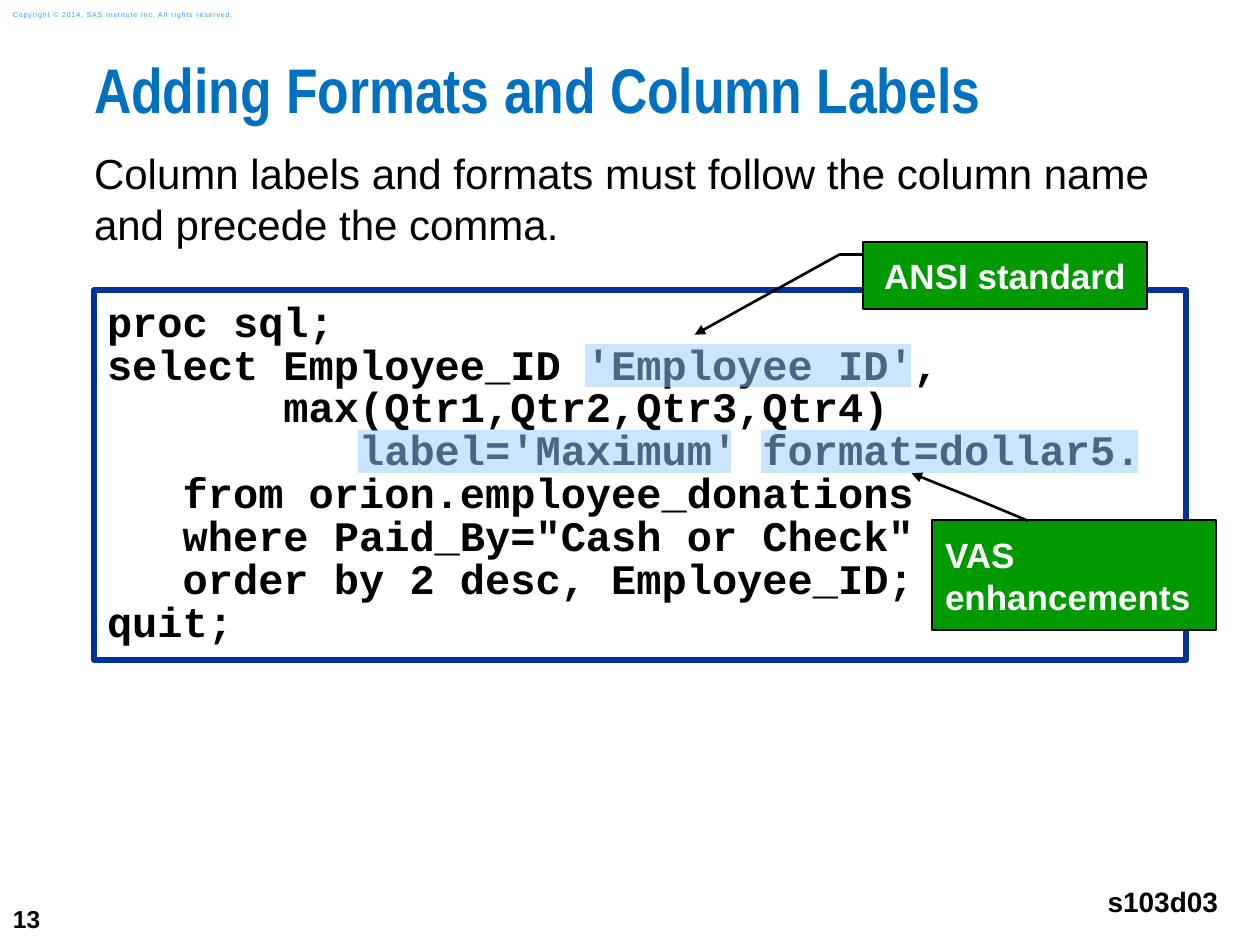
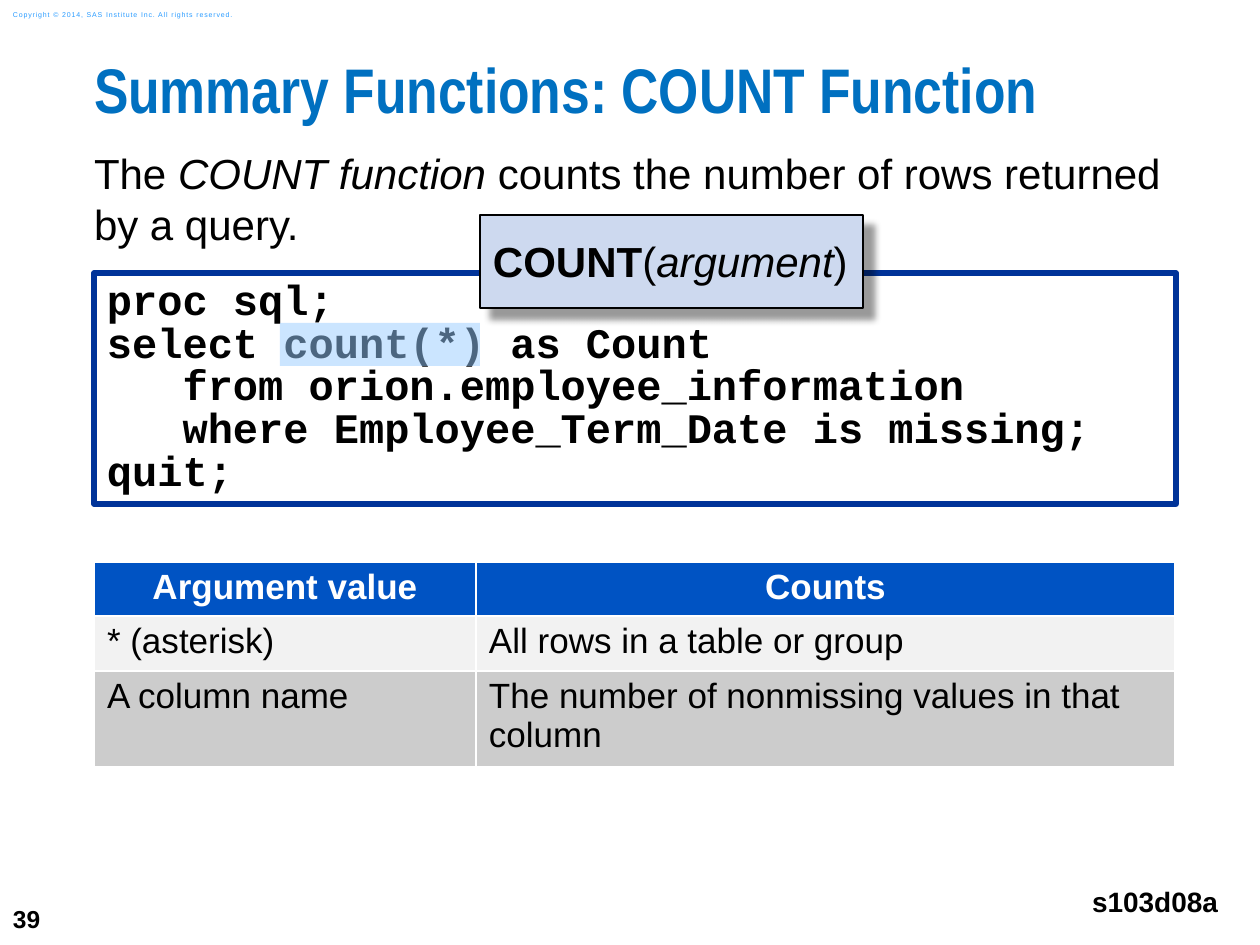
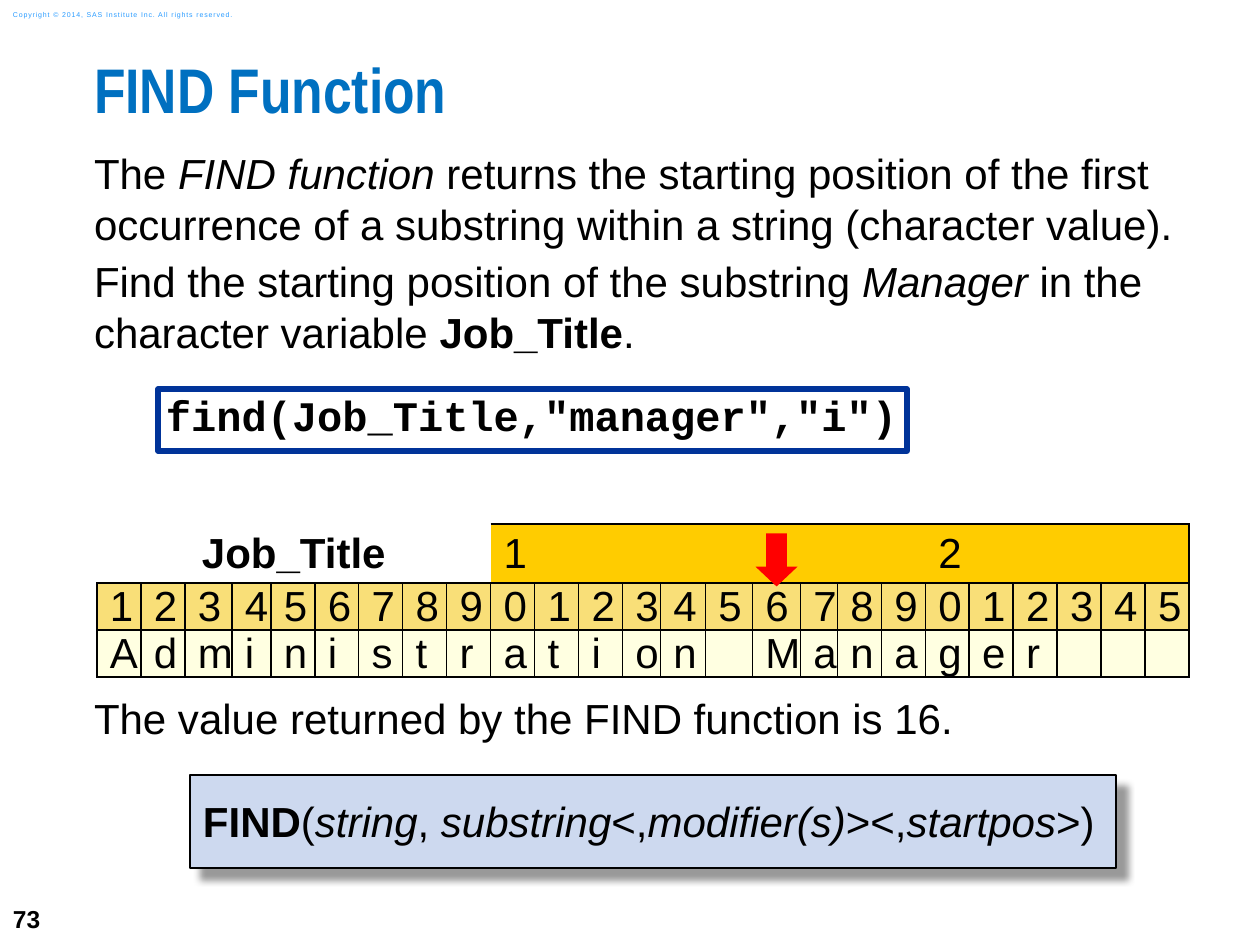
from lxml import etree
from pptx import Presentation
from pptx.dml.color import RGBColor
from pptx.enum.shapes import MSO_SHAPE as Shape
from pptx.enum.text import MSO_ANCHOR as Anchor, MSO_AUTO_SIZE as AutoSize, PP_ALIGN as Align
from pptx.oxml import parse_xml
from pptx.oxml.ns import nsdecls, qn
from pptx.util import Pt

PX = 914400 / 126
COLORS = {
    "title": "0070C0", "copyright": "2A9CFF", "black": "000000", "white": "FFFFFF",
    "frame": "003399", "callout": "009900", "highlight": "99CCFF", "syntax": "CDD9EF",
    "header": "0053C3", "light": "F2F2F2", "gray": "CCCCCC",
    "amber": "FFCC00", "sand": "F9DF78", "cream": "FFFFE1", "arrow": "FF0000",
}
CODE = dict(font="Courier New", bold=True, line=0.85, wrap=False)


def rgb(name):
    return RGBColor.from_string(COLORS[name])


def px(*lengths):
    return [round(length * PX) for length in lengths]


def write(holder, paragraphs, font="Arial", size=24, color="black", bold=False,
          align=Align.LEFT, anchor=Anchor.TOP, insets=(0, 0, 0, 0), wrap=True,
          line=None, before=(), after=0, spacing=None):
    """Fill a shape or table cell; a paragraph is a string or a list of (text, "b" or "i" or "")."""
    frame = holder.text_frame
    owner = holder if hasattr(holder, "margin_left") else frame
    owner.margin_left, owner.margin_top, owner.margin_right, owner.margin_bottom = px(*insets)
    owner.vertical_anchor = anchor
    if owner is frame:
        frame.auto_size = AutoSize.NONE
        frame.word_wrap = wrap
    for index, content in enumerate(paragraphs):
        paragraph = frame.add_paragraph() if index else frame.paragraphs[0]
        paragraph.alignment = align
        paragraph.line_spacing = line
        paragraph.space_before = Pt(before[index] if before else 0)
        paragraph.space_after = Pt(after)
        for text, style in [(content, "")] if isinstance(content, str) else content:
            run = paragraph.add_run()
            run.text = text
            run.font.name, run.font.size = font, Pt(size)
            run.font.bold, run.font.italic = bold or style == "b", style == "i"
            run.font.color.rgb = rgb(color)
            if spacing:
                run.font._element.set("spc", str(spacing))


def box(slide, place, fill, edge=None, width=1.5, kind=Shape.RECTANGLE):
    shape = slide.shapes.add_shape(kind, *px(*place))
    shape.shadow.inherit = False
    shape.fill.solid()
    shape.fill.fore_color.rgb = rgb(fill)
    if edge:
        shape.line.color.rgb = rgb(edge)
        shape.line.width = Pt(width)
    else:
        shape.line.fill.background()
    return shape


prs = Presentation()
prs.slide_width, prs.slide_height = px(1260, 945)

# Title, lead text, page number, copyright and program name
pages = [
    dict(number="13", title="Adding Formats and Column Labels", program="s103d03", before=[0],
         lead=["Column labels and formats must follow the column name and precede the comma."]),
    dict(number="39", title="Summary Functions: COUNT Function", program="s103d08a", before=[0],
         lead=[[("The ", ""), ("COUNT function", "i"),
                (" counts the number of rows returned by a query.", "")]]),
    dict(number="73", title="FIND Function", program=None, before=[0, 0, 188],
         lead=[[("The ", ""), ("FIND function", "i"),
                (" returns the starting position of the first occurrence of a substring "
                 "within a string (character value).", "")],
               [("Find the starting position of the substring ", ""), ("Manager", "i"),
                (" in the character variable ", ""), ("Job_Title", "b"), (".", "")],
               "The value returned by the FIND function is 16."]),
]
slides = []
for page in pages:
    slide = prs.slides.add_slide(prs.slide_layouts[1])
    slides.append(slide)
    title, lead = slide.placeholders
    title.left, title.top, title.width, title.height = px(94, 63, 1166, 93)
    write(title, [page["title"]], font="Arial Narrow", size=36, color="title", bold=True, line=0.83)
    lead.left, lead.top, lead.width, lead.height = px(94, 148, 1090, 587)
    write(lead, page["lead"], before=page["before"], after=4)
    for paragraph in lead.text_frame.paragraphs:
        properties = paragraph._p.get_or_add_pPr()
        properties.set("marL", "0")
        properties.set("indent", "0")
        etree.SubElement(properties, qn("a:buNone"))
    number = slide.shapes.add_textbox(*px(0, 892, 73, 53))
    write(number, [page["number"]], size=14, bold=True, anchor=Anchor.MIDDLE,
          insets=(13, 6, 13, 6), wrap=False)
    notice = slide.shapes.add_textbox(*px(0, 4, 266, 21))
    write(notice, ["Copyright © 2014, SAS Institute Inc. All rights reserved."], size=4,
          color="copyright", anchor=Anchor.MIDDLE, insets=(13, 6, 13, 6), wrap=False, spacing=50)
    if page["program"]:
        program = slide.shapes.add_textbox(*px(1080, 872, 151, 59))
        write(program, [page["program"]], size=16, bold=True, align=Align.RIGHT,
              insets=(13, 13, 13, 13), wrap=False)
labels_slide, count_slide, find_slide = slides

# Framed code
code_blocks = [
    (labels_slide, (94, 290, 1092, 370), (13, 13, 37, 13), [
        "proc sql;",
        "select Employee_ID 'Employee ID',",
        "       max(Qtr1,Qtr2,Qtr3,Qtr4)",
        "          label='Maximum' format=dollar5.",
        "   from orion.employee_donations",
        "   where Paid_By=\"Cash or Check\"",
        "   order by 2 desc, Employee_ID;",
        "quit;"]),
    (count_slide, (94, 273, 1082, 231), (13, 8, 0, 8), [
        "proc sql;",
        "select count(*) as Count",
        "   from orion.employee_information",
        "   where Employee_Term_Date is missing;",
        "quit;"]),
    (find_slide, (158, 389, 749, 62), (8, 8, 8, 8), ['find(Job_Title,"manager","i")']),
]
for slide, place, insets, code in code_blocks:
    write(box(slide, place, "white", "frame", 3), code, insets=insets, **CODE)

# Callouts pointing into the code
callouts = [
    ("ANSI standard", (863, 242, 284, 67), Align.CENTER, (0.188, 0, 0.188, -0.083, 1.384, -0.593)),
    ("VAS enhancements", (932, 520, 284, 110), Align.LEFT,
     (0.007, 0.338, -0.185, 0.16, -0.425, -0.072)),
]
for text, place, align, pointer in callouts:
    callout = box(labels_slide, place, "callout", "black", kind=Shape.LINE_CALLOUT_2)
    for index, value in enumerate(pointer):
        callout.adjustments[index] = value
    etree.SubElement(callout.line._get_or_add_ln(), qn("a:tailEnd"), type="triangle")
    write(callout, [text], size=20, color="white", bold=True, align=align,
          anchor=Anchor.MIDDLE, insets=(13, 13, 13, 13))

# Syntax boxes
syntaxes = [
    (count_slide, (480, 215, 383, 93),
     [("COUNT", "b"), ("(", ""), ("argument", "i"), (")", "")]),
    (find_slide, (190, 775, 926, 93),
     [("FIND", "b"), ("(", ""), ("string", "i"), (", ", ""), ("substring", "i"), ("<,", ""),
      ("modifier(s)", "i"), ("><,", ""), ("startpos", "i"), (">)", "")]),
]
for slide, place, syntax in syntaxes:
    syntax_box = box(slide, place, "syntax", "black")
    syntax_box._element.spPr.find(qn("a:effectLst")).append(parse_xml(
        f'<a:outerShdw {nsdecls("a")} blurRad="50800" dist="107950" dir="2700000" algn="tl" '
        f'rotWithShape="0"><a:srgbClr val="{COLORS["black"]}"><a:alpha val="40000"/>'
        '</a:srgbClr></a:outerShdw>'))
    write(syntax_box, [syntax], insets=(13, 21, 13, 21), wrap=False)

# Translucent highlights over the code
highlights = [
    (labels_slide, 585, 344, 326), (labels_slide, 358, 430, 373),
    (labels_slide, 761, 430, 377), (count_slide, 280, 323, 200),
]
for slide, left, top, width in highlights:
    highlight = box(slide, (left, top, width, 43), "highlight")
    color = highlight._element.spPr.find(qn("a:solidFill"))[0]
    etree.SubElement(color, qn("a:alpha"), val="50000")

borders = []  # (cell, {side: color or None})

# What COUNT counts for each argument
arguments = [
    ("Argument value", "Counts"),
    ("* (asterisk)", "All rows in a table or group"),
    ("A column name", "The number of nonmissing values in that column"),
]
arguments_table = count_slide.shapes.add_table(3, 2, *px(94, 562, 1081, 205)).table
for column, width in zip(arguments_table.columns, px(382, 699)):
    column.width = width
for row, height, fill, texts in zip(arguments_table.rows, px(54, 55, 96),
                                    ("header", "light", "gray"), arguments):
    row.height = height
    head = fill == "header"
    for cell, text in zip(row.cells, texts):
        cell.fill.solid()
        cell.fill.fore_color.rgb = rgb(fill)
        write(cell, [text], size=20, bold=head, color="white" if head else "black",
              align=Align.CENTER if head else Align.LEFT, insets=(13, 6, 13, 6))
        borders.append((cell, dict.fromkeys("LRTB", "white")))

# Character positions of Job_Title
value = "Administration Manager".ljust(25)
positions = range(1, len(value) + 1)
tens = [str(n // 10) if n % 10 == 0 else "" for n in positions]
units = [str(n % 10) for n in positions]
odd_widths = {3: 47, 4: 39, 13: 38, 14: 45, 15: 47, 16: 48, 17: 37}
positions_table = find_slide.shapes.add_table(3, 25, *px(97, 524, 1093, 153)).table
for n, column in zip(positions, positions_table.columns):
    column.width = px(odd_widths.get(n, 44))[0]
for row, height, fill, texts in zip(positions_table.rows, px(59, 47, 47),
                                    ("amber", "sand", "cream"), (tens, units, value)):
    row.height = height
    for n, cell, text in zip(positions, row.cells, texts):
        cell.fill.solid()
        cell.fill.fore_color.rgb = rgb(fill)
        write(cell, [text] if text.strip() else [], anchor=Anchor.MIDDLE, insets=(13, 0, 13, 0))
        sides = dict.fromkeys("LRTB", "black")
        if fill == "amber":
            sides.update(L=None, R="black" if n == 25 else None)
            if n < 10:
                sides.update(L="white", T="white")
        borders.append((cell, sides))
variable = positions_table.cell(0, 0)
variable.merge(positions_table.cell(0, 8))
variable.fill.fore_color.rgb = rgb("white")
write(variable, ["Job_Title"], bold=True, align=Align.CENTER, anchor=Anchor.MIDDLE)

for cell, sides in borders:
    properties = cell._tc.get_or_add_tcPr()
    for index, (side, color) in enumerate(sides.items()):
        paint = (f'<a:solidFill><a:srgbClr val="{COLORS[color]}"/></a:solidFill>'
                 if color else "<a:noFill/>")
        properties.insert(index, parse_xml(
            f'<a:ln{side} {nsdecls("a")} w="12700">{paint}</a:ln{side}>'))

start_arrow = box(find_slide, (750, 539, 53, 42), "arrow", kind=Shape.RIGHT_ARROW)
start_arrow.rotation = 90
start_arrow.adjustments[0], start_arrow.adjustments[1] = 0.49, 0.47

prs.save("out.pptx")
